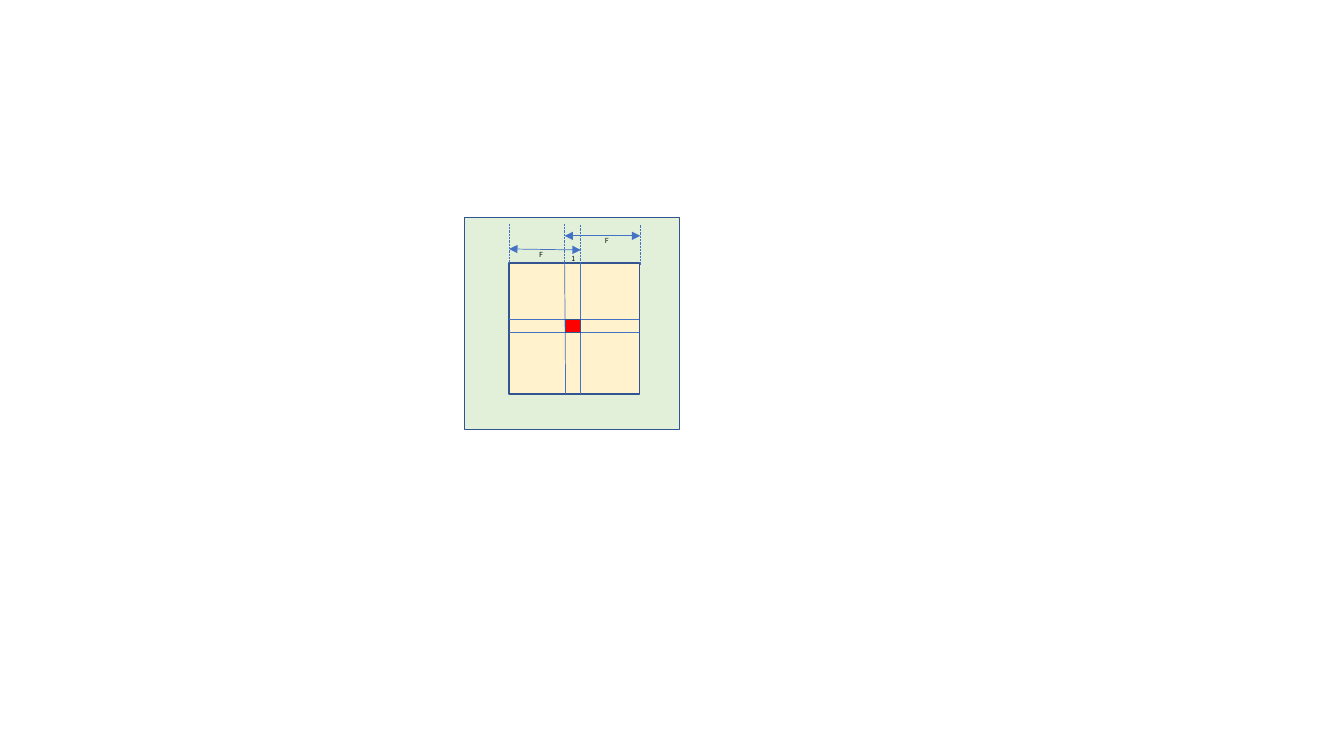
from pptx import Presentation
from pptx.dml.color import RGBColor
from pptx.enum.dml import MSO_LINE
from pptx.enum.shapes import MSO_CONNECTOR, MSO_SHAPE
from pptx.enum.text import MSO_AUTO_SIZE
from pptx.oxml.ns import qn
from pptx.util import Inches, Pt
from lxml import etree

GREEN = RGBColor(0xE2, 0xF0, 0xD9)
CREAM = RGBColor(0xFF, 0xF2, 0xCC)
RED = RGBColor(0xFF, 0x00, 0x00)
NAVY = RGBColor(0x32, 0x54, 0x91)
BLUE = RGBColor(0x44, 0x72, 0xC4)
BLACK = RGBColor(0, 0, 0)
FONT = "Noto Sans CJK SC"

# Edges of the window and of the centre cell, in inches
LEFT, RIGHT, TOP, BOTTOM = 5.05, 6.34, 2.61, 3.91
CELL_LEFT, CELL_RIGHT, CELL_TOP, CELL_BOTTOM = 5.6, 5.76, 3.17, 3.3
GUIDE_RIGHT = 6.35

FRAME = (4.61, 2.16, 2.13, 2.1)
WINDOW = (LEFT, TOP, RIGHT - LEFT, BOTTOM - TOP)
CENTRE = (5.61, CELL_TOP, 0.15, CELL_BOTTOM - CELL_TOP)

GRID = [
    (CELL_LEFT, TOP, 5.61, BOTTOM),
    (CELL_RIGHT, TOP, CELL_RIGHT, BOTTOM),
    (LEFT, CELL_TOP, RIGHT, CELL_TOP),
    (LEFT, CELL_BOTTOM, RIGHT, CELL_BOTTOM),
]
GUIDES = [  # x, bottom, top
    (LEFT, TOP, 2.22),
    (CELL_RIGHT, 2.62, 2.23),
    (CELL_LEFT, TOP, 2.22),
    (GUIDE_RIGHT, 2.63, 2.23),
]
SPANS = [(LEFT, 2.47, CELL_RIGHT, 2.48), (CELL_LEFT, 2.34, GUIDE_RIGHT, 2.34)]
LABELS = [("F", 5.25, 2.44), ("F", 5.9, 2.3), ("1", 5.57, 2.48)]
LABEL_SIZE = (0.24, 0.19)


def add_box(s, box, color):
    """Add a filled rectangle with a navy outline."""
    sp = s.shapes.add_shape(MSO_SHAPE.RECTANGLE, *map(Inches, box))
    sp.shadow.inherit = False
    sp.fill.solid()
    sp.fill.fore_color.rgb = color
    sp.line.color.rgb = NAVY
    sp.line.width = Pt(1)


def add_line(s, ends, dash=None, arrows=False):
    """Add a thin blue line, optionally dashed or with two arrowheads."""
    line = s.shapes.add_connector(MSO_CONNECTOR.STRAIGHT, *map(Inches, ends))
    line.line.color.rgb = BLUE
    line.line.width = Pt(0.5)
    if dash:
        line.line.dash_style = dash
    props = line._element.spPr
    if arrows:
        for tag in ("a:headEnd", "a:tailEnd"):
            etree.SubElement(props.find(qn("a:ln")), qn(tag), type="triangle")
    etree.SubElement(props, qn("a:effectLst"))


def add_label(s, text, x, y):
    """Add a small dimension label."""
    sp = s.shapes.add_textbox(*map(Inches, (x, y, *LABEL_SIZE)))
    tf = sp.text_frame
    tf.word_wrap = False
    tf.auto_size = MSO_AUTO_SIZE.SHAPE_TO_FIT_TEXT
    p = tf.paragraphs[0]
    p.text = text
    p.font.name = FONT
    p.font.size = Pt(5)
    p.font.color.rgb = BLACK


prs = Presentation()
prs.slide_width, prs.slide_height = Inches(13.33), Inches(7.5)
s = prs.slides.add_slide(prs.slide_layouts[6])

add_box(s, FRAME, GREEN)
add_box(s, WINDOW, CREAM)
for ends in GRID:
    add_line(s, ends)
add_box(s, CENTRE, RED)
for x, bottom, top in GUIDES:
    add_line(s, (x, bottom, x, top), dash=MSO_LINE.ROUND_DOT)
for ends in SPANS:
    add_line(s, ends, arrows=True)
for label in LABELS:
    add_label(s, *label)

prs.save("out.pptx")
